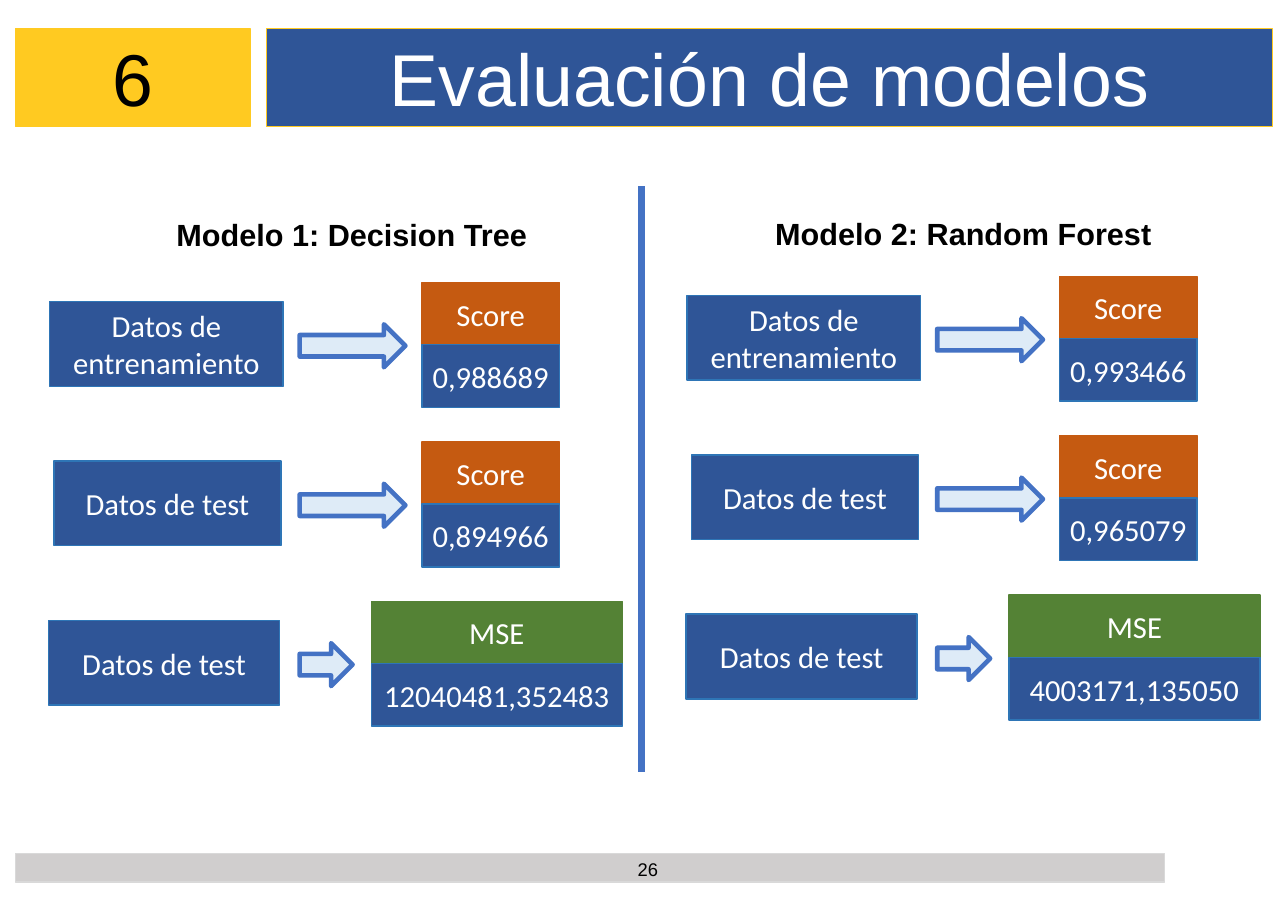
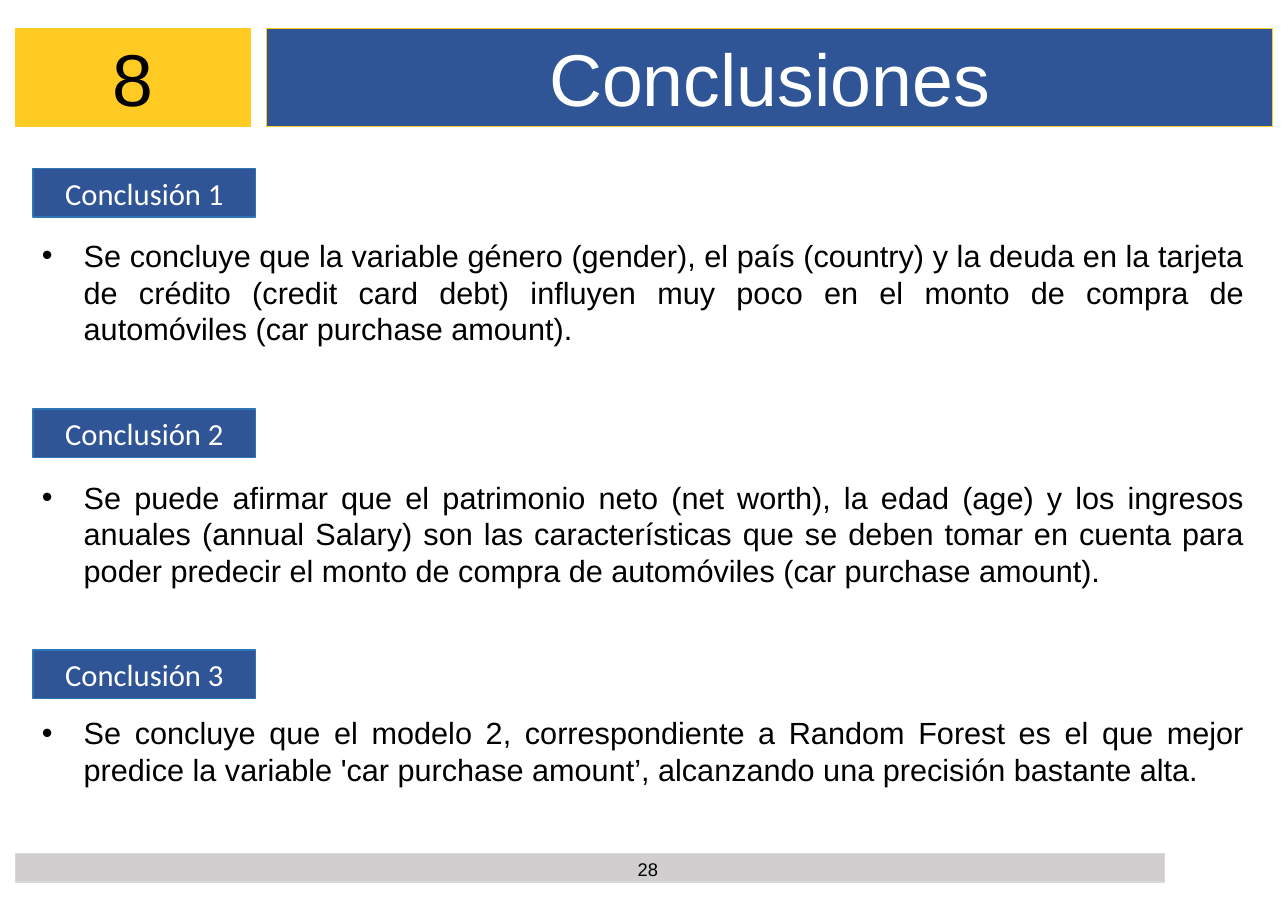
from pptx import Presentation
from pptx.dml.color import RGBColor
from pptx.enum.shapes import MSO_CONNECTOR as Connector, MSO_SHAPE as Preset
from pptx.enum.text import MSO_ANCHOR as Anchor, MSO_AUTO_SIZE as AutoSize, PP_ALIGN as Align
from pptx.oxml.ns import qn
from pptx.util import Inches, Pt
from lxml import etree

presentation = Presentation()
presentation.slide_width = Inches(11.69)
presentation.slide_height = Inches(8.27)

# Grid: 100 columns by 100 rows
column = presentation.slide_width / 100
row = presentation.slide_height / 100

# Looks: (fill, line, line width in points)
YELLOW = ("FFCA21", "FFCA21", 1)
TITLE_BAND = ("2F5597", "FFCA21", 1)
FOOTER_BAND = ("D0CECE", "D9D9D9", 1)
BLUE = ("2F5597", "2E75B6", 1)
ORANGE = ("C55A11", "C55A11", 1)
GREEN = ("548235", "548235", 1)
ARROW = ("DEEBF7", "4472C4", 3)

# Text formats
SECTION = {"name": "Arial", "size": Pt(48), "color": "000000"}
TITLE = {**SECTION, "color": "FFFFFF"}
PAGE = {**SECTION, "size": Pt(12)}
BODY = {**SECTION, "size": Pt(20)}
HEADING = {**BODY, "bold": True}
LABEL = {"name": "Calibri", "size": Pt(20), "color": "FFFFFF"}


def rgb(value):
    return RGBColor.from_string(value)


def dress(shape, cells, look=None, text="", font=LABEL, align=Align.CENTER, anchor=Anchor.MIDDLE):
    """Place a shape on the grid, paint it and fill in its text."""
    left, top, width, height = cells
    places = {"left": left * column, "top": top * row,
              "width": width * column, "height": height * row}
    for name, value in places.items():
        setattr(shape, name, round(value))
    shape.shadow.inherit = False
    if look:
        fill, line, line_width = look
        shape.fill.solid()
        shape.fill.fore_color.rgb = rgb(fill)
        shape.line.color.rgb = rgb(line)
        shape.line.width = Pt(line_width)
    frame = shape.text_frame
    frame_format = {"text": text, "word_wrap": True, "auto_size": AutoSize.NONE,
                    "vertical_anchor": anchor, "margin_left": 0, "margin_right": 0}
    for name, value in frame_format.items():
        setattr(frame, name, value)
    for paragraph in frame.paragraphs:
        paragraph.alignment = align
        for run in paragraph.runs:
            for name, value in font.items():
                if name == "color":
                    run.font.color.rgb = rgb(value)
                else:
                    setattr(run.font, name, value)


# Shared frame: section number, title band, footer band, page number
slides = []
for layout, section, title, page in [(5, "6", "Evaluación de modelos", "26"),
                                     (1, "8", "Conclusiones", "28")]:
    slide = presentation.slides.add_slide(presentation.slide_layouts[layout])
    shapes = slide.shapes
    dress(shapes.title, (20.7, 3.14, 78.1, 10.76), TITLE_BAND, title, TITLE)
    dress(shapes.add_shape(Preset.RECTANGLE, 0, 0, 0, 0), (1.2, 3.14, 18.22, 10.76),
          YELLOW, section, SECTION)
    dress(shapes.add_shape(Preset.RECTANGLE, 0, 0, 0, 0), (1.2, 93.71, 89.22, 3.14), FOOTER_BAND)
    dress(shapes.add_textbox(0, 0, 0, 0), (48.59, 93.6, 3.42, 3.63), None, page, PAGE)
    slides.append(slide)
models_slide, conclusions_slide = slides

# Models: divider between the two panels
shapes = models_slide.shapes
divider = shapes.add_connector(Connector.STRAIGHT, round(49.79 * column), round(20.44 * row),
                               round(49.79 * column), round(84.76 * row))
divider.line.color.rgb = rgb("4472C4")
divider.line.width = Pt(4.5)
etree.SubElement(divider._element.spPr, qn("a:effectLst"))

# Models: each row leads from a data set to a metric
# (input text, input left and width, arrow width, metric, look, metric left and width)
flow_rows = [
    ("Datos de entrenamiento", 3.85, 18.14, 8.21, "Score", ORANGE, 32.76, 10.69),
    ("Datos de test", 4.19, 17.62, 8.21, "Score", ORANGE, 32.76, 10.69),
    ("Datos de test", 3.76, 17.96, 4.11, "MSE", GREEN, 28.83, 19.5),
]
# (heading, heading cells, panel shift right and down, values)
panels = [
    ("Modelo 1: Decision Tree", (12.57, 23.1, 29.51, 5.32), 0, 0,
     ["0,988689", "0,894966", "12040481,352483"]),
    ("Modelo 2: Random Forest", (58.85, 22.97, 31.91, 5.32), 49.5, -0.67,
     ["0,993466", "0,965079", "4003171,135050"]),
]
for heading, heading_cells, right, down, values in panels:
    dress(shapes.add_textbox(0, 0, 0, 0), heading_cells, None, heading, HEADING)
    for index, (flow_row, value) in enumerate(zip(flow_rows, values)):
        data, data_left, data_width, arrow_width, metric, look, metric_left, metric_width = flow_row
        top = 33.1 + 17.5 * index + down
        blocks = [
            (Preset.RECTANGLE, data_left, top, data_width, 9.31, BLUE, data),
            (Preset.RIGHT_ARROW, 23.27, top + 2.5, arrow_width, 4.72, ARROW, ""),
            (Preset.RECTANGLE, metric_left, top - 2.1, metric_width, 6.89, look, metric),
            (Preset.RECTANGLE, metric_left, top + 4.73, metric_width, 6.89, BLUE, value),
        ]
        for preset, left, block_top, width, height, block_look, text in blocks:
            dress(shapes.add_shape(preset, 0, 0, 0, 0),
                  (left + right, block_top, width, height), block_look, text)

# Conclusions: one list, with room above each item for its label
conclusions = [
    "Se concluye que la variable género (gender), el país (country) y la deuda en la tarjeta "
    "de crédito (credit card debt) influyen muy poco en el monto de compra de automóviles "
    "(car purchase amount).",
    "Se puede afirmar que el patrimonio neto (net worth), la edad (age) y los ingresos anuales "
    "(annual Salary) son las características que se deben tomar en cuenta para poder predecir "
    "el monto de compra de automóviles (car purchase amount).",
    "Se concluye que el modelo 2, correspondiente a Random Forest es el que mejor predice la "
    "variable 'car purchase amount’, alcanzando una precisión bastante alta.",
]
shapes = conclusions_slide.shapes
body = conclusions_slide.placeholders[1]
dress(body, (3.25, 25.39, 93.41, 61.8), None, "\n".join(conclusions), BODY,
      Align.JUSTIFY, Anchor.TOP)
for index, (paragraph, gap) in enumerate(zip(body.text_frame.paragraphs, [0, 86, 82])):
    spacing = {"line_spacing": Pt(24), "space_before": Pt(gap), "space_after": Pt(0)}
    for name, value in spacing.items():
        setattr(paragraph, name, value)
    properties = paragraph._p.get_or_add_pPr()
    properties.set("marL", str(Inches(0.38)))
    properties.set("indent", str(-Inches(0.38)))
    dress(shapes.add_shape(Preset.RECTANGLE, 0, 0, 0, 0),
          (2.57, 18.5 + 26.42 * index, 17.28, 5.32), BLUE, f"Conclusión {index + 1}")

presentation.save("out.pptx")
